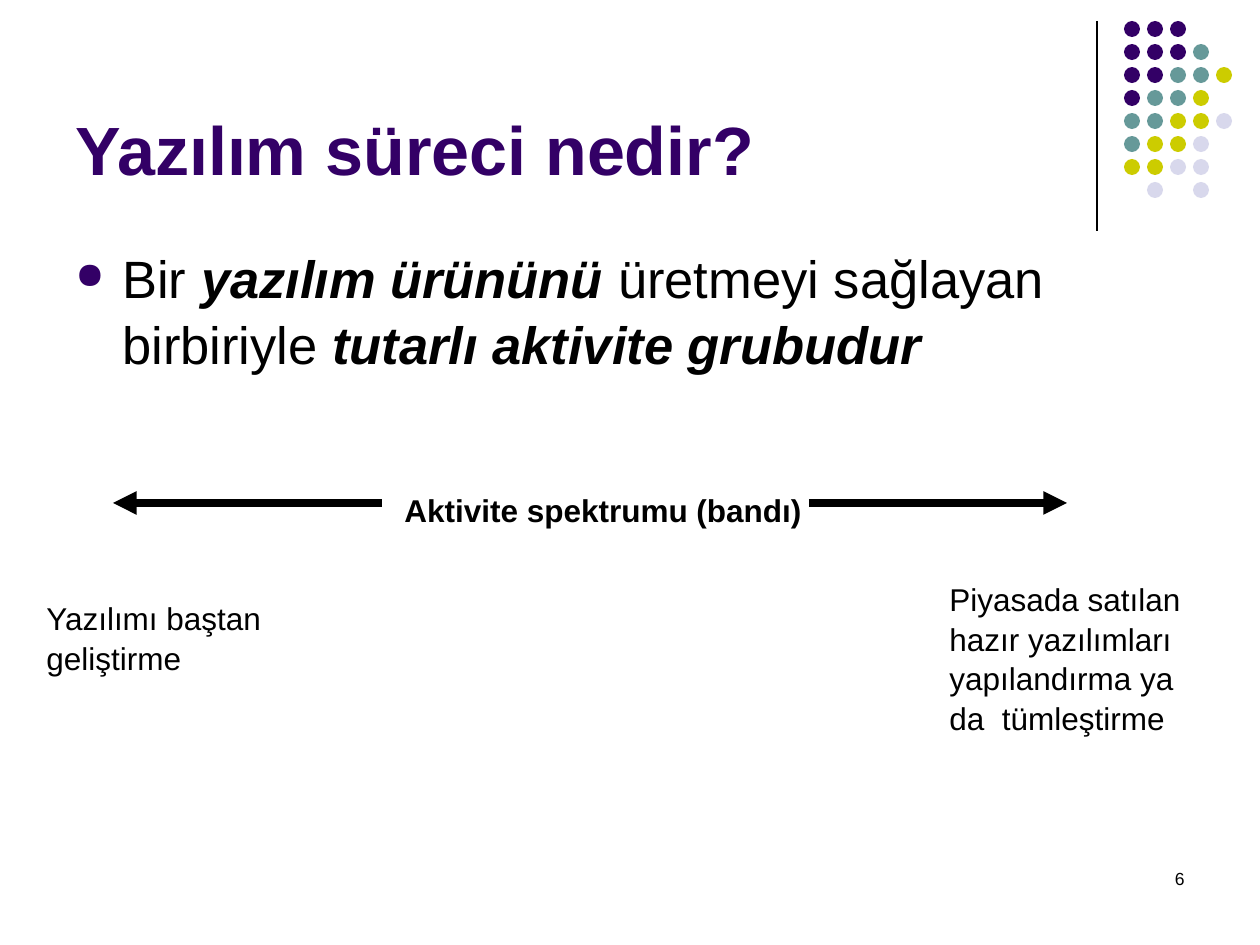
import pptx
import pptx.dml.color
import pptx.enum.shapes
import pptx.enum.text
import pptx.oxml
import pptx.oxml.ns
import pptx.util

PURPLE, TEAL, LIME, LILAC, BLACK = "330066", "669999", "CCCC00", "D8D8EC", "000000"
DOT_COLORS = {"P": PURPLE, "T": TEAL, "Y": LIME, "L": LILAC}
DOT_ROWS = ["PPP", "PPPT", "PPTTY", "PTTY", "TTYYL", "TYYL", "YYLL", " L L"]
EMPHASIS = {"bold": True, "italic": True}


def px(n):
    return pptx.util.Emu(round(n * 914400 / 126))


def rgb(value):
    return pptx.dml.color.RGBColor.from_string(value)


def add_xml(parent, xml):
    ns = pptx.oxml.ns.nsdecls("a")
    parent.append(pptx.oxml.parse_xml(xml.replace("/>", f" {ns}/>", 1)))


class SlideBuilder:
    """Hold the style and current slide, and add elements to it."""

    font = "Arial"
    spacing = 1.05

    def __init__(self, slide):
        self.slide = slide

    def dot(self, x, y, size, color):
        kind = pptx.enum.shapes.MSO_SHAPE.OVAL
        sp = self.slide.shapes.add_shape(kind, px(x), px(y), px(size), px(size))
        sp.shadow.inherit = False
        sp.fill.solid()
        sp.fill.fore_color.rgb = rgb(color)
        sp.line.fill.background()

    def line(self, x1, y1, x2, y2, width, arrow=False):
        kind = pptx.enum.shapes.MSO_CONNECTOR.STRAIGHT
        sp = self.slide.shapes.add_connector(kind, px(x1), px(y1), px(x2), px(y2))
        sp.line.color.rgb = rgb(BLACK)
        sp.line.width = pptx.util.Pt(width)
        if arrow:
            add_xml(sp.line._get_or_add_ln(), '<a:tailEnd type="triangle"/>')
        add_xml(sp._element.spPr, "<a:effectLst/>")

    def text(self, x, y, w, h, runs, size, color=BLACK, anchor="TOP", align="LEFT"):
        sp = self.slide.shapes.add_textbox(px(x), px(y), px(w), px(h))
        tf = sp.text_frame
        tf.word_wrap = True
        tf.vertical_anchor = getattr(pptx.enum.text.MSO_ANCHOR, anchor)
        p = tf.paragraphs[0]
        p.alignment = getattr(pptx.enum.text.PP_ALIGN, align)
        p.line_spacing = self.spacing
        for words, style in runs:
            r = p.add_run()
            r.text = words
            r.font.color.rgb = rgb(color)
            values = {"name": self.font, "size": pptx.util.Pt(size), **style}
            for name, value in values.items():
                setattr(r.font, name, value)
        return p

    def bullet(self, x, y, w, h, runs, size):
        p = self.text(x, y, w, h, runs, size)
        p.space_before = pptx.util.Pt(7.5)
        pPr = p._p.get_or_add_pPr()
        indent = px(47)
        pPr.set("marL", str(indent))
        pPr.set("indent", str(-indent))
        ns = pptx.oxml.ns.nsdecls("a")
        pPr.append(pptx.oxml.parse_xml(
            f'<a:buClr {ns}><a:srgbClr val="{PURPLE}"/></a:buClr>'))
        add_xml(pPr, '<a:buSzPct val="70000"/>')
        add_xml(pPr, '<a:buChar char="●"/>')


def main():
    prs = pptx.Presentation()
    prs.slide_width, prs.slide_height = px(1260), px(945)
    s = SlideBuilder(prs.slides.add_slide(prs.slide_layouts[6]))

    s.line(1097, 21, 1097, 231, 0.75)
    for row, codes in enumerate(DOT_ROWS):
        for col, code in enumerate(codes):
            if code in DOT_COLORS:
                s.dot(1124 + 23 * col, 21 + 23 * row, 16, DOT_COLORS[code])

    s.text(903, 861, 294, 63, [("6", {})], 10, align="RIGHT")
    s.text(63, 16, 1040, 179, [("Yazılım süreci nedir?", {"bold": True})], 39,
           PURPLE, "BOTTOM")
    s.bullet(63, 237, 1134, 607, [
        ("Bir ", {}),
        ("yazılım ürününü", EMPHASIS),
        (" üretmeyi sağlayan birbiriyle ", {}),
        ("tutarlı aktivite grubudur", EMPHASIS),
    ], 30)

    s.text(392, 483, 486, 50, [("Aktivite spektrumu (bandı)", {"bold": True})], 18)
    for start, end in [(382, 113), (809, 1067)]:
        s.line(start, 503, end, 503, 4.5, arrow=True)
    s.text(34, 591, 307, 88, [("Yazılımı baştan geliştirme", {})], 18)
    s.text(937, 572, 277, 164, [
        ("Piyasada satılan hazır yazılımları yapılandırma ya da  tümleştirme", {}),
    ], 18)

    prs.save("out.pptx")


if __name__ == "__main__":
    main()
